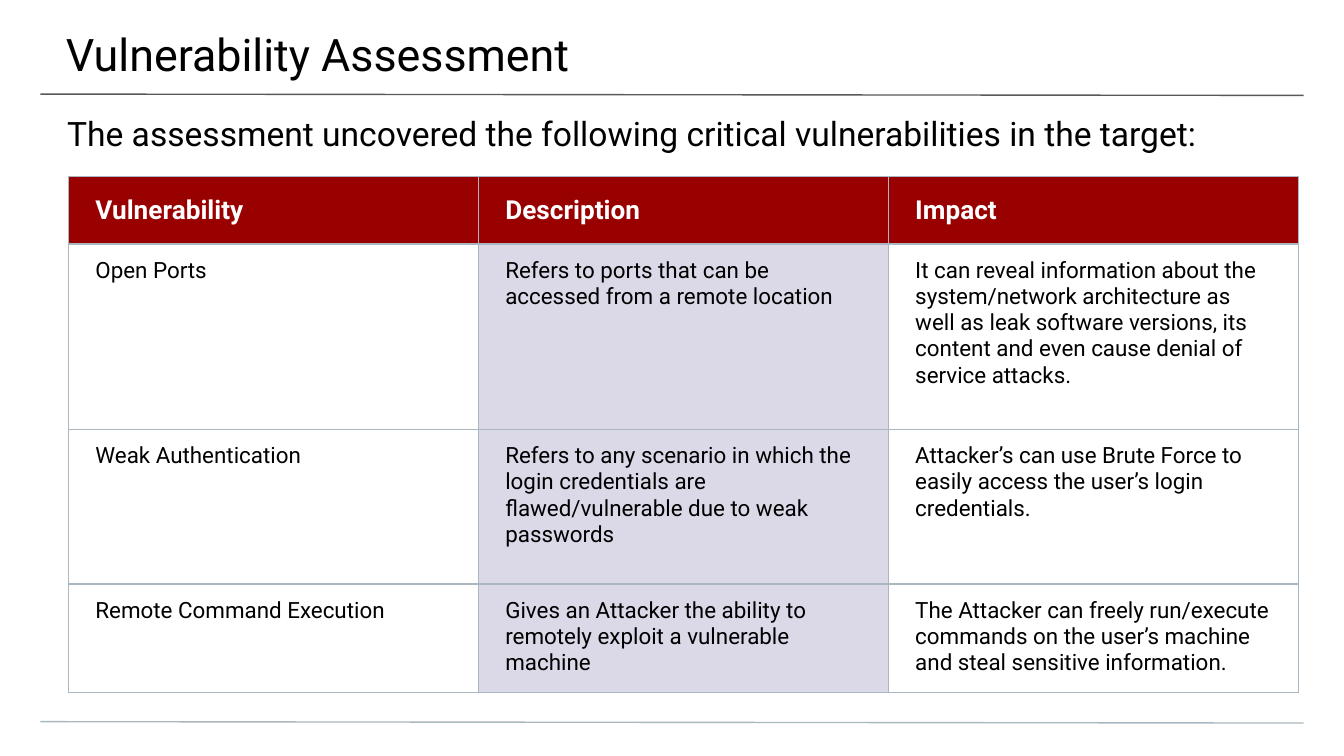
from lxml.etree import SubElement
from pptx import Presentation
from pptx.dml.color import RGBColor
from pptx.enum.shapes import MSO_CONNECTOR
from pptx.enum.text import MSO_ANCHOR
from pptx.oxml.ns import qn
from pptx.util import Pt

PX = 4572  # 200 px to the inch
SLIDE_SIZE = (2000, 1125)
FONT = "Roboto"
COLORS = {
    "text": "000000",
    "header_text": "FFFFFF",
    "header": "990000",
    "description": "DBD9E8",
    "border": "A9B7C0",
    "title_rule": "595959",
}

# text, (left, top, width, height), insets (left, top, right, bottom), size
HEADINGS = [
    ("Vulnerability Assessment", (-2, 0, 2006, 116), (100, 40, 60, 20), 24),
    ("The assessment uncovered the following critical vulnerabilities in the target:",
     (0, 148, 2000, 80), (100, 20, 100, 0), 18),
]
# top, color
RULES = [(140, "title_rule"), (1074, "border")]

ROWS = [
    ("Vulnerability", "Description", "Impact"),
    ("Open Ports",
     "Refers to ports that can be accessed from a remote location",
     "It can reveal information about the system/network architecture as well as "
     "leak software versions, its content and even cause denial of service attacks."),
    ("Weak Authentication",
     "Refers to any scenario in which the login credentials are flawed/vulnerable "
     "due to weak passwords",
     "Attacker’s can use Brute Force to easily access the user’s login credentials."),
    ("Remote Command Execution",
     "Gives an Attacker the ability to remotely exploit a vulnerable machine",
     "The Attacker can freely run/execute commands on the user’s machine and "
     "steal sensitive information."),
]
ROW_HEIGHTS = [100, 276, 230, 162]
COL_WIDTH = 610
TABLE_LEFT, TABLE_TOP = 102, 263
CELL_INSETS = (40, 20, 40, 20)


def rgb(name):
    return RGBColor.from_string(COLORS[name])


def px(*values):
    return [v * PX for v in values]


def set_insets(box, insets):
    box.margin_left, box.margin_top, box.margin_right, box.margin_bottom = px(*insets)


def add_run(tf, text, size, color="text", bold=False):
    r = tf.paragraphs[0].add_run()
    r.text = text
    r.font.name = FONT
    r.font.size = Pt(size)
    r.font.bold = bold
    r.font.color.rgb = rgb(color)


def add_heading(slide, text, box, insets, size):
    tf = slide.shapes.add_textbox(*px(*box)).text_frame
    tf.word_wrap = True
    set_insets(tf, insets)
    add_run(tf, text, size)


def add_rule(slide, top, color):
    line = slide.shapes.add_connector(MSO_CONNECTOR.STRAIGHT, *px(60, top, 1940, top + 2))
    line.line.color.rgb = rgb(color)
    line.line.width = Pt(0.75)
    SubElement(line._element.spPr, qn("a:effectLst"))


def add_borders(cell):
    tc_pr = cell._tc.get_or_add_tcPr()
    for side in ("a:lnL", "a:lnR", "a:lnT", "a:lnB"):
        ln = SubElement(tc_pr, qn(side), w=str(Pt(0.75)))
        fill = SubElement(ln, qn("a:solidFill"))
        SubElement(fill, qn("a:srgbClr"), val=COLORS["border"])


def fill_cell(cell, color):
    if color:
        cell.fill.solid()
        cell.fill.fore_color.rgb = rgb(color)
    else:
        cell.fill.background()


def add_vulnerability_table(slide):
    n_cols = len(ROWS[0])
    frame = slide.shapes.add_table(
        len(ROWS), n_cols,
        *px(TABLE_LEFT, TABLE_TOP, n_cols * COL_WIDTH, sum(ROW_HEIGHTS)))
    table = frame.table
    for col in table.columns:
        col.width = COL_WIDTH * PX
    for i, (row, height) in enumerate(zip(ROWS, ROW_HEIGHTS)):
        table.rows[i].height = height * PX
        for j, text in enumerate(row):
            cell = table.cell(i, j)
            set_insets(cell, CELL_INSETS)
            add_borders(cell)
            if i == 0:
                cell.vertical_anchor = MSO_ANCHOR.MIDDLE
                fill_cell(cell, "header")
                add_run(cell.text_frame, text, 14, "header_text", bold=True)
            else:
                fill_cell(cell, "description" if j == 1 else None)
                add_run(cell.text_frame, text, 12)


def main():
    prs = Presentation()
    prs.slide_width, prs.slide_height = px(*SLIDE_SIZE)
    slide = prs.slides.add_slide(prs.slide_layouts[6])
    for rule in RULES:
        add_rule(slide, *rule)
    for heading in HEADINGS:
        add_heading(slide, *heading)
    add_vulnerability_table(slide)
    prs.save("out.pptx")


if __name__ == "__main__":
    main()
